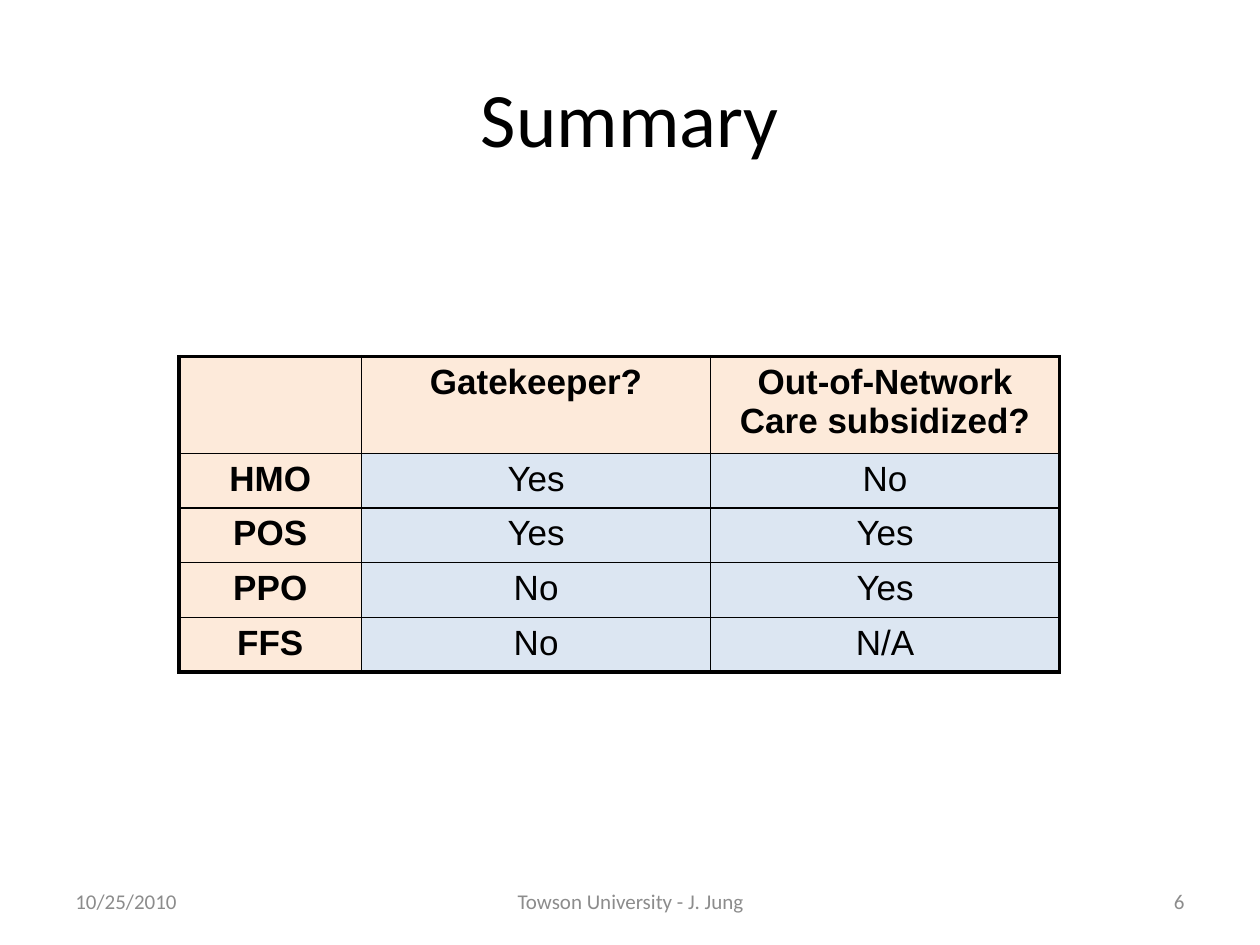
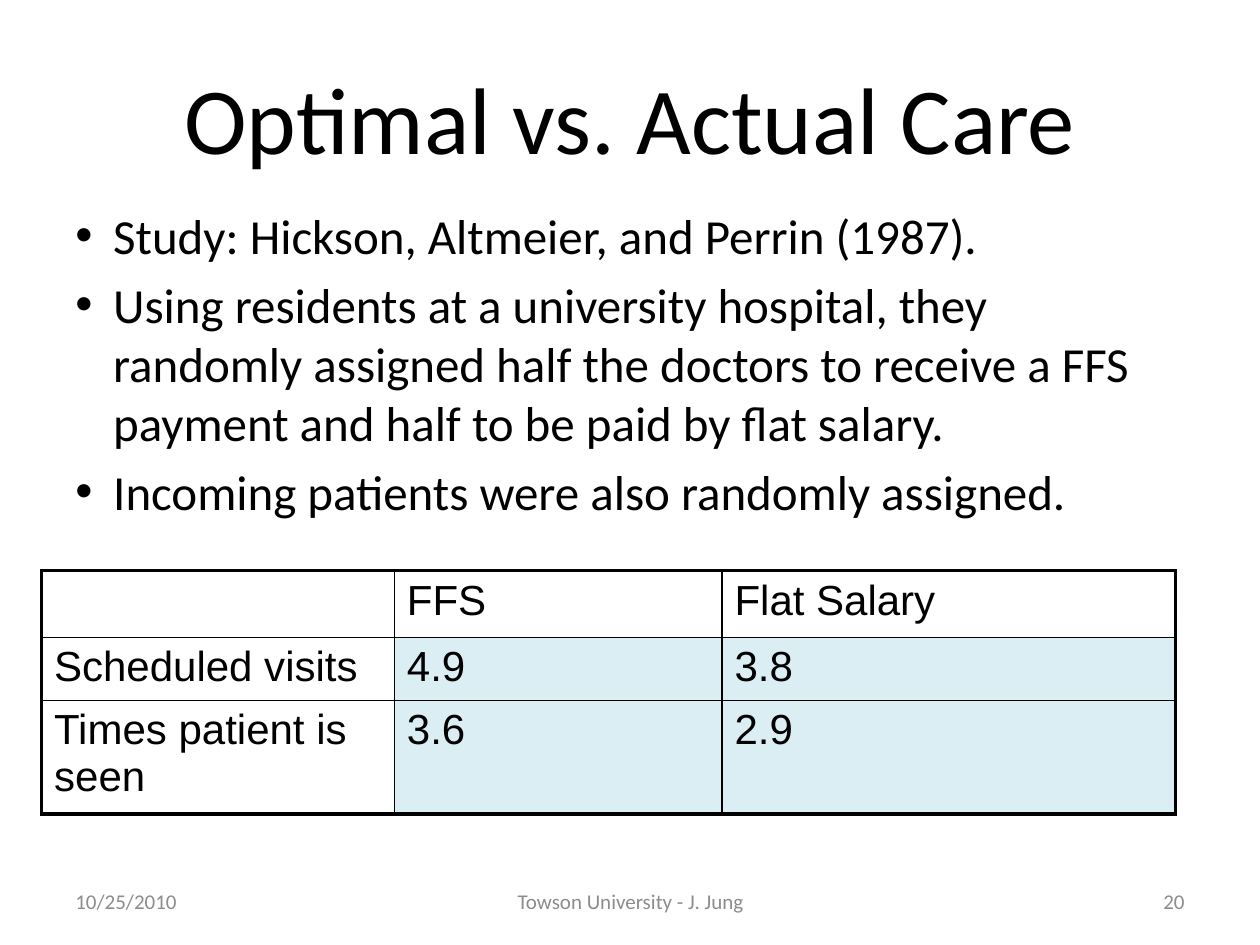
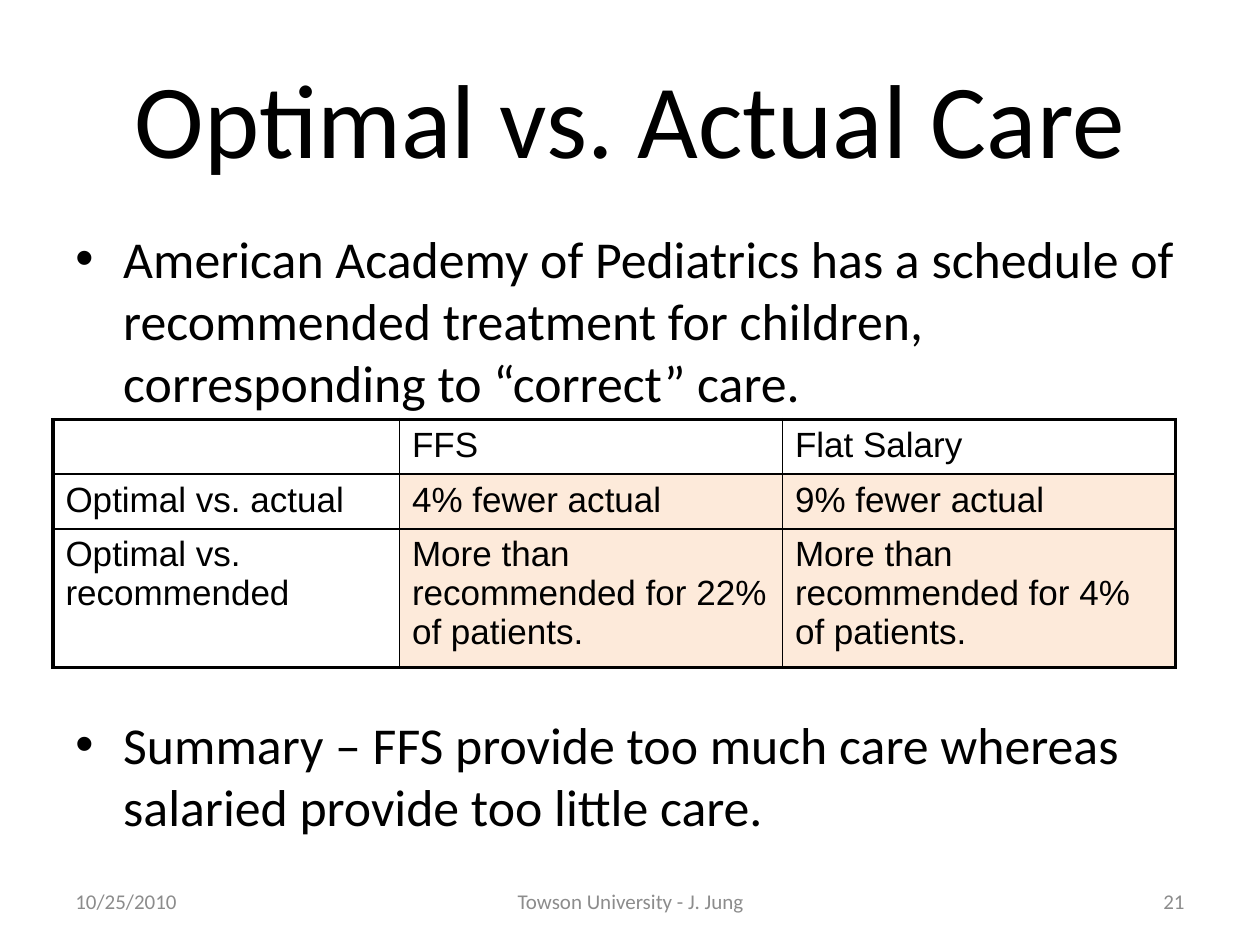
from dataclasses import dataclass
from typing import Optional

from lxml.etree import SubElement
from pptx import Presentation
from pptx.dml.color import RGBColor
from pptx.enum.text import MSO_ANCHOR, PP_ALIGN
from pptx.oxml.ns import qn
from pptx.util import Inches, Pt

BLACK = RGBColor(0x00, 0x00, 0x00)
GRAY = RGBColor(0x8C, 0x8C, 0x8C)
PEACH = RGBColor(0xFD, 0xEA, 0xDA)
PALE_BLUE = RGBColor(0xDC, 0xE6, 0xF2)
PALE_AQUA = RGBColor(0xDB, 0xEE, 0xF4)

TEXT_FONT = "Calibri"
TABLE_FONT = "Arial"
OUTER_LINE = 2.25
INNER_LINE = 1

TITLE_BOX = (0.5, 0.3, 9, 1.25)
FOOTER_TOP, FOOTER_HEIGHT = 6.95, 0.4
DATE = "10/25/2010"
AUTHOR = "Towson University - J. Jung"


@dataclass
class TableStyle:
    """Look of one table: text size, alignment and fills."""
    size: float
    body_fill: RGBColor
    heading_fill: Optional[RGBColor] = None
    heading_bold: bool = False
    alignment: PP_ALIGN = PP_ALIGN.LEFT


def set_font(paragraph, name, size, color=BLACK, bold=False):
    """Apply one font to a whole paragraph."""
    font = paragraph.font
    font.name, font.size, font.bold = name, Pt(size), bold
    font.color.rgb = color


def add_text_box(page, box, anchor=MSO_ANCHOR.TOP):
    """Add a wrapping text box and return its text frame."""
    frame = page.shapes.add_textbox(*map(Inches, box)).text_frame
    frame.word_wrap = True
    frame.vertical_anchor = anchor
    return frame


def add_line(page, box, text, size, alignment, color=BLACK):
    """Add a box with one vertically centred paragraph."""
    paragraph = add_text_box(page, box, MSO_ANCHOR.MIDDLE).paragraphs[0]
    paragraph.text = text
    paragraph.alignment = alignment
    set_font(paragraph, TEXT_FONT, size, color)


def add_footer(page, number):
    """Add the date, author and page number along the bottom."""
    parts = (
        (0.5, 2.33, DATE, PP_ALIGN.LEFT),
        (3.42, 3.17, AUTHOR, PP_ALIGN.CENTER),
        (7.17, 2.33, str(number), PP_ALIGN.RIGHT),
    )
    for left, width, text, alignment in parts:
        box = (left, FOOTER_TOP, width, FOOTER_HEIGHT)
        add_line(page, box, text, 12, alignment, GRAY)


def add_page(deck, title, title_size, number):
    """Add a blank page with its title and footer."""
    page = deck.slides.add_slide(deck.slide_layouts[6])
    add_line(page, TITLE_BOX, title, title_size, PP_ALIGN.CENTER)
    add_footer(page, number)
    return page


def add_bullets(page, box, texts, size, indent, gap):
    """Add a bulleted list with a hanging indent and a gap between items."""
    frame = add_text_box(page, box)
    for index, text in enumerate(texts):
        paragraph = frame.add_paragraph() if index else frame.paragraphs[0]
        paragraph.text = text
        properties = paragraph._p.get_or_add_pPr()
        properties.set("marL", str(Inches(indent)))
        properties.set("indent", str(-Inches(indent)))
        if index:
            paragraph.space_before = Pt(gap)
        SubElement(properties, qn("a:buFont"), typeface="Arial")
        SubElement(properties, qn("a:buChar"), char="•")
        set_font(paragraph, TEXT_FONT, size)


def set_borders(cell, outer_sides):
    """Draw black borders, thicker on the sides at the table's edge."""
    properties = cell._tc.get_or_add_tcPr()
    for side in "LRTB":
        width = OUTER_LINE if side in outer_sides else INNER_LINE
        line = SubElement(properties, qn(f"a:ln{side}"), w=str(Pt(width)))
        fill = SubElement(line, qn("a:solidFill"))
        SubElement(fill, qn("a:srgbClr"), val=str(BLACK))


def add_grid(page, left, top, widths, heights, rows, style):
    """Add a table whose first row and first column are headings."""
    frame = page.shapes.add_table(
        len(rows), len(widths), Inches(left), Inches(top),
        Inches(sum(widths)), Inches(sum(heights)))
    table = frame.table
    table.first_row = table.horz_banding = False
    for column, width in zip(table.columns, widths):
        column.width = Inches(width)
    for row, height in zip(table.rows, heights):
        row.height = Inches(height)
    last_row, last_column = len(rows) - 1, len(widths) - 1
    for y, texts in enumerate(rows):
        for x, text in enumerate(texts):
            cell = table.cell(y, x)
            edges = {"L": x == 0, "R": x == last_column,
                     "T": y == 0, "B": y == last_row}
            set_borders(cell, [side for side, outer in edges.items() if outer])
            heading = x == 0 or y == 0
            fill = style.heading_fill if heading else style.body_fill
            if fill is None:
                cell.fill.background()
            else:
                cell.fill.solid()
                cell.fill.fore_color.rgb = fill
            paragraph = cell.text_frame.paragraphs[0]
            paragraph.text = text
            paragraph.alignment = style.alignment
            set_font(paragraph, TABLE_FONT, style.size,
                     bold=heading and style.heading_bold)


def build_plan_summary(deck):
    """Build the page that compares the insurance plans."""
    page = add_page(deck, "Summary", 44, 6)
    rows = (
        ("", "Gatekeeper?", "Out-of-Network Care subsidized?"),
        ("HMO", "Yes", "No"),
        ("POS", "Yes", "Yes"),
        ("PPO", "No", "Yes"),
        ("FFS", "No", "N/A"),
    )
    style = TableStyle(20, PALE_BLUE, PEACH, True, PP_ALIGN.CENTER)
    add_grid(page, 1.42, 2.83, (1.45, 2.77, 2.77), (0.72,) + (0.41,) * 4,
             rows, style)


def build_study(deck):
    """Build the page that presents the study and its visit counts."""
    page = add_page(deck, "Optimal vs. Actual Care", 54, 20)
    rows = (
        ("", "FFS", "Flat Salary"),
        ("Scheduled visits", "4.9", "3.8"),
        ("Times patient is seen", "3.6", "2.9"),
    )
    add_grid(page, 0.33, 4.53, (2.8, 2.6, 3.6), (0.53, 0.47, 0.85), rows,
             TableStyle(24, PALE_AQUA))
    add_bullets(page, (0.5, 1.58, 8.92, 2.65), (
        "Study: Hickson, Altmeier, and Perrin (1987).",
        "Using residents at a university hospital, they randomly assigned "
        "half the doctors to receive a FFS payment and half to be paid by "
        "flat salary.",
        "Incoming patients were also randomly assigned.",
    ), 28, 0.3, 6)


def build_findings(deck):
    """Build the page that compares care with the recommended schedule."""
    page = add_page(deck, "Optimal vs. Actual Care", 60, 21)
    add_bullets(page, (0.5, 1.75, 9, 4.95), (
        "American Academy of Pediatrics has a schedule of recommended "
        "treatment for children, corresponding to “correct” care.",
        "Summary – FFS provide too much care whereas salaried provide too "
        "little care.",
    ), 29.6, 0.38, 171)
    rows = (
        ("", "FFS", "Flat Salary"),
        ("Optimal vs. actual", "4% fewer actual", "9% fewer actual"),
        ("Optimal vs. recommended",
         "More than recommended for 22% of patients.",
         "More than recommended for 4% of patients."),
    )
    add_grid(page, 0.42, 3.33, (2.75, 3.04, 3.12), (0.41, 0.41, 1.03), rows,
             TableStyle(20, PEACH))


def main():
    """Build the deck and save it."""
    deck = Presentation()
    deck.slide_width, deck.slide_height = Inches(10), Inches(7.5)
    build_plan_summary(deck)
    build_study(deck)
    build_findings(deck)
    deck.save("out.pptx")


if __name__ == "__main__":
    main()
